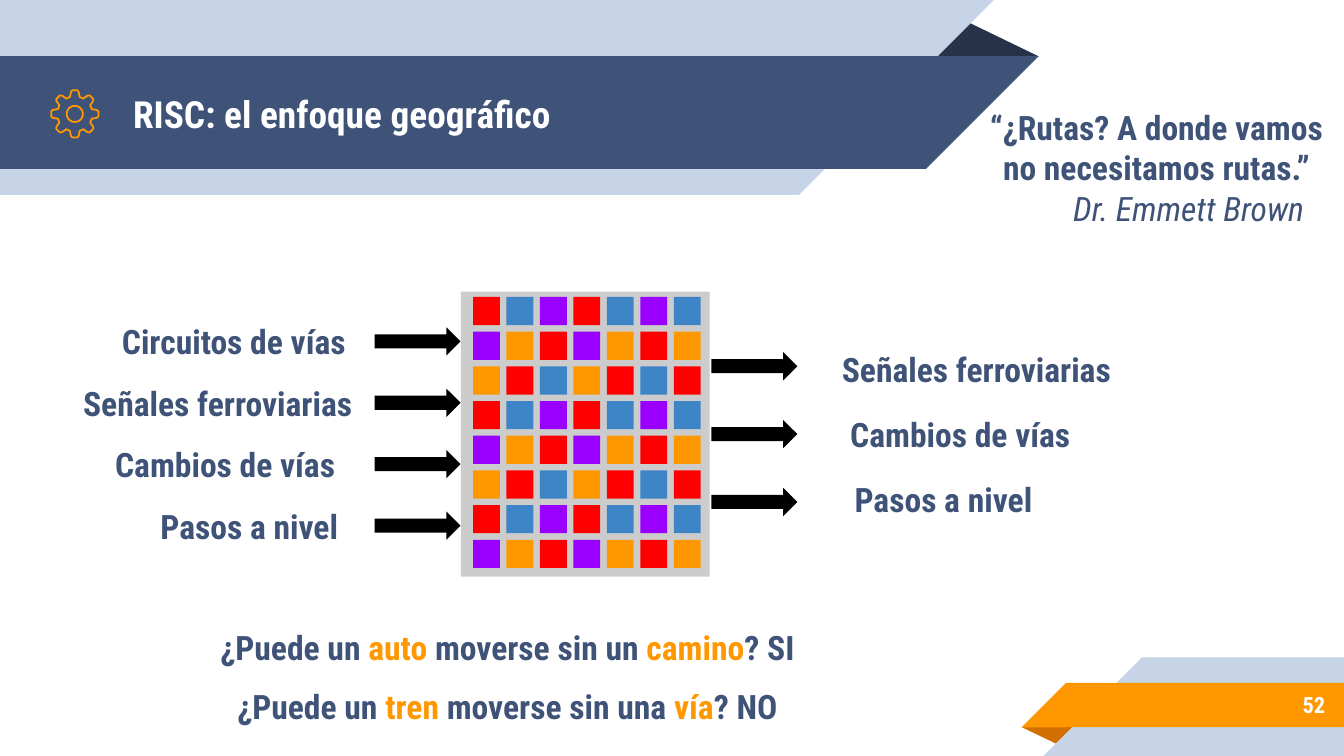
from math import cos, radians, sin

from pptx import Presentation
from pptx.dml.color import RGBColor
from pptx.enum.shapes import MSO_SHAPE
from pptx.enum.text import MSO_ANCHOR, MSO_AUTO_SIZE, PP_ALIGN
from pptx.oxml.ns import qn
from pptx.util import Inches, Pt

# The slide is a grid of 100 columns by 56.25 rows, each a tenth of an inch
CELL = Inches(0.1)
COLUMNS, ROWS = 100, 56.25
FONT = "Roboto Condensed"
COLORS = {
    "navy": "3F5378", "dark": "263248", "pale": "C7D3E6",
    "orange": "FF9800", "rust": "D26F00", "white": "FFFFFF",
    "black": "000000", "gray": "CCCCCC", "red": "FF0000",
    "blue": "3D85C6", "violet": "9900FF",
}
TILE_COLORS = {"R": "red", "B": "blue", "V": "violet", "O": "orange"}
TILE_ROWS = ["RBVRBVB", "VORVORO", "ORBORBR"]
FRAME_FORMAT = {
    "word_wrap": True, "auto_size": MSO_AUTO_SIZE.NONE,
    "vertical_anchor": MSO_ANCHOR.MIDDLE,
    "margin_left": CELL, "margin_right": CELL,
    "margin_top": CELL, "margin_bottom": CELL,
}


def grid(*cells):
    return [round(cell * CELL) for cell in cells]


def color(name):
    return RGBColor.from_string(COLORS[name])


def set_format(target, values):
    for name, value in values.items():
        setattr(target, name, value)


def add_block(page, kind, cells, fill, rotation=0, mirrored=False, adjust=None):
    block = page.shapes.add_shape(kind, *grid(*cells))
    block.shadow.inherit = False
    block.fill.solid()
    block.fill.fore_color.rgb = color(fill)
    block.line.fill.background()
    block.rotation = rotation
    if mirrored:
        block._element.spPr.find(qn("a:xfrm")).set("flipH", "1")
    if adjust is not None:
        block.adjustments[0] = adjust
    return block


def add_band(page, body, slant, fill, rotation=0):
    """A bar with a slanted end: a rectangle and a right triangle."""
    for kind, cells in ((MSO_SHAPE.RECTANGLE, body), (MSO_SHAPE.RIGHT_TRIANGLE, slant)):
        add_block(page, kind, cells, fill, rotation, mirrored=True)


def fill_text(box, lines, size=18, fill="navy", bold=True, italic=False,
              align=PP_ALIGN.CENTER, gap=0, spacing=1.0):
    """Each line is a list of (text, color name or None) spans."""
    frame = box.text_frame
    set_format(frame, FRAME_FORMAT)
    for index, line in enumerate(lines):
        para = frame.add_paragraph() if index else frame.paragraphs[0]
        set_format(para, {"alignment": align, "line_spacing": spacing,
                          "space_before": Pt(gap if index else 0)})
        for text, tint in line:
            span = para.add_run()
            span.text = text
            set_format(span.font, {"name": FONT, "size": Pt(size),
                                   "bold": bold, "italic": italic})
            span.font.color.rgb = color(tint or fill)


def add_text(page, cells, lines, **style):
    if isinstance(lines, str):
        lines = [[(lines, None)]]
    fill_text(page.shapes.add_textbox(*grid(*cells)), lines, **style)


def add_title(page, cells, text):
    title = page.shapes.title
    set_format(title, dict(zip(("left", "top", "width", "height"), grid(*cells))))
    fill_text(title, [[(text, None)]], size=20, fill="white", align=PP_ALIGN.LEFT)
    # Bring the title in front of the bands
    page.shapes._spTree.append(title._element)


def add_gear(page, center_x, center_y, radius):
    def ring(points):
        return [grid(center_x + radius * share * cos(radians(angle)),
                     center_y + radius * share * sin(radians(angle)))
                for angle, share in points]

    tooth = [(-16, 0.74), (-10, 0.94), (-6, 1), (6, 1), (10, 0.94), (16, 0.74)]
    rim = ring([(turn + angle, share) for turn in range(0, 360, 45)
                for angle, share in tooth])
    hole = ring([(angle, 0.34) for angle in range(0, 360, 15)])
    builder = page.shapes.build_freeform(*rim[0])
    builder.add_line_segments(rim[1:], close=True)
    builder.move_to(*hole[0])
    builder.add_line_segments(hole[1:], close=True)
    gear = builder.convert_to_shape()
    gear.shadow.inherit = False
    gear.fill.background()
    gear.line.color.rgb = color("orange")
    gear.line.width = Pt(0.96)


def add_arrows(page, left, first_top, step, count):
    for index in range(count):
        add_block(page, MSO_SHAPE.RIGHT_ARROW,
                  (left, first_top + index * step, 6.4, 2.1), "black", adjust=0.5)


def add_tiles(page, left, top, column_step, row_step, row_count):
    for row in range(row_count):
        for column, letter in enumerate(TILE_ROWS[row % len(TILE_ROWS)]):
            add_block(page, MSO_SHAPE.RECTANGLE,
                      (left + column * column_step, top + row * row_step, 2, 2.1),
                      TILE_COLORS[letter])


def add_page_number(page, cells, number):
    add_text(page, cells, number, size=12, fill="white", align=PP_ALIGN.RIGHT)


def main():
    deck = Presentation()
    deck.slide_width, deck.slide_height = grid(COLUMNS, ROWS)
    page = deck.slides.add_slide(deck.slide_layouts[5])

    # Header bands
    add_block(page, MSO_SHAPE.ISOSCELES_TRIANGLE, (68.8, 1.4, 8.5, 2.8), "dark", adjust=0.32)
    add_band(page, (0, 0, 59.45, 14.5), (59.45, 0, 14.5, 14.5), "pale", 180)
    add_band(page, (0, 4.17, 68.9, 8.4), (68.9, 4.17, 8.4, 8.4), "navy", 180)

    # Footer bands
    add_block(page, MSO_SHAPE.ISOSCELES_TRIANGLE, (76, 54.1, 4.3, 1.4), "rust", 180, adjust=0.32)
    add_band(page, (84.97, 48.92, 15.03, 7.33), (77.64, 48.92, 7.33, 7.33), "pale")
    add_band(page, (79.32, 50.82, 20.68, 3.3), (76.02, 50.82, 3.3, 3.3), "orange")
    add_page_number(page, (83.3, 50.7, 16.3, 3.5), "52")

    # Title, icon and quotation
    add_title(page, (8.9, 4.25, 60.1, 8.4), "RISC: el enfoque geográfico")
    add_gear(page, 5.57, 8.48, 1.77)
    add_text(page, (72.5, 6.75, 27.1, 8.4), "“¿Rutas? A donde vamos no necesitamos rutas.”")
    add_text(page, (78.87, 12.65, 21.1, 5.2), "Dr. Emmett Brown", bold=False,
             italic=True, align=PP_ALIGN.LEFT, spacing=1.15)

    # Central block of tiles with its inputs and outputs
    add_block(page, MSO_SHAPE.RECTANGLE, (34.3, 21.7, 18.5, 21.2), "gray")
    add_tiles(page, 35.2, 22.1, 2.49, 2.58, 8)
    add_arrows(page, 27.87, 24.35, 4.57, 4)
    add_arrows(page, 52.93, 26.2, 5.05, 3)
    labels = [
        ("Circuitos de vías", (6.95, 22.35, 20.9, 6.1)),
        ("Señales ferroviarias", (4.55, 26.95, 23.3, 6.1)),
        ("Cambios de vías", (5.7, 30.35, 22.1, 8.4)),
        ("Pasos a nivel", (9.2, 34.95, 18.7, 8.4)),
        ("Señales ferroviarias", (60.05, 24.4, 25.2, 6.1)),
        ("Cambios de vías", (60.05, 28.1, 22.8, 8.4)),
        ("Pasos a nivel", (60.1, 32.95, 20.2, 8.4)),
    ]
    for text, cells in labels:
        add_text(page, cells, text)

    # Closing questions
    add_text(page, (0.65, 46.17, 74.2, 8.4), [
        [("¿Puede un ", None), ("auto", "orange"), (" moverse sin un ", None),
         ("camino", "orange"), ("? SI", None)],
        [("¿Puede un ", None), ("tren ", "orange"), ("moverse sin una ", None),
         ("vía", "orange"), ("? NO", None)],
    ], gap=10)

    deck.save("out.pptx")


if __name__ == "__main__":
    main()
